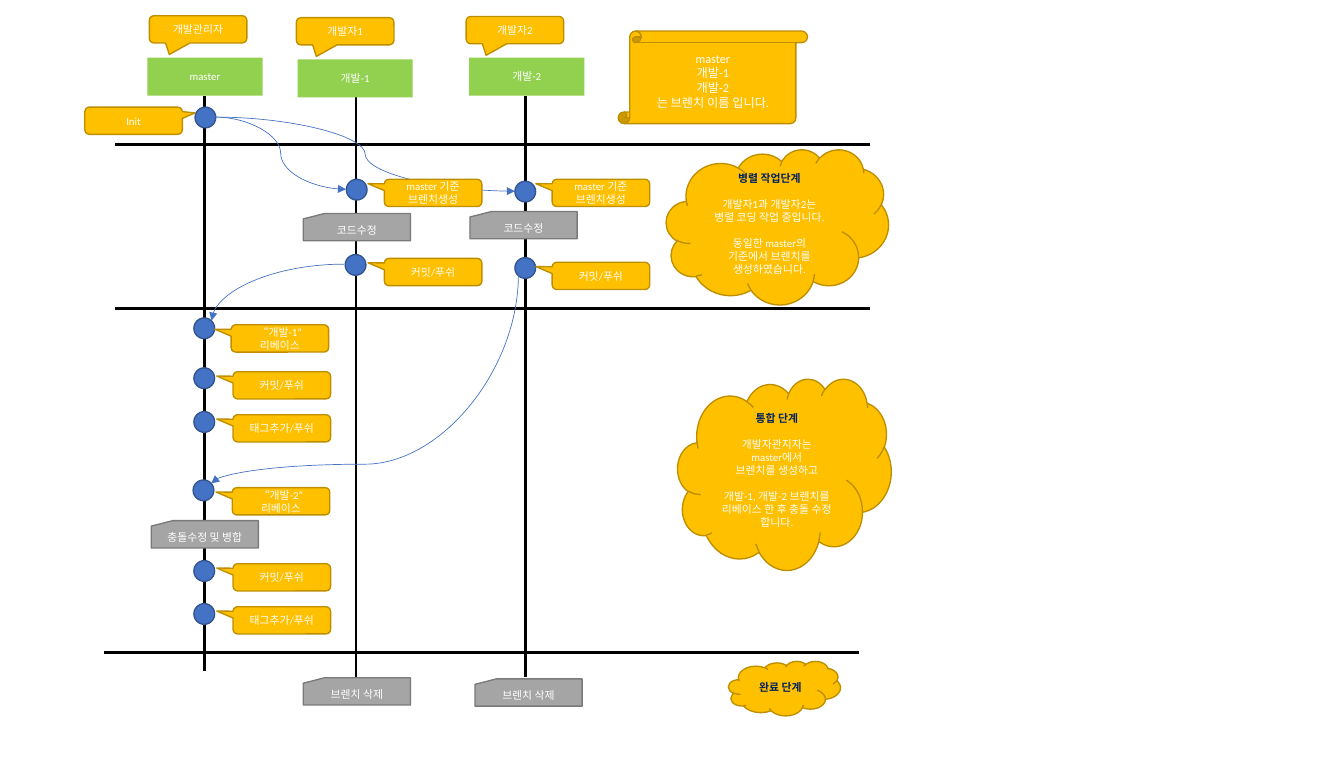
"""Build the slide showing a branch workflow for a manager and two developers."""
import pptx
import pptx.dml.color
import pptx.enum.dml
import pptx.enum.shapes
import pptx.enum.text
import pptx.oxml
import pptx.oxml.ns
import pptx.util

Cm, Pt = pptx.util.Cm, pptx.util.Pt
RGBColor = pptx.dml.color.RGBColor
SHAPE = pptx.enum.shapes.MSO_SHAPE
CONNECTOR = pptx.enum.shapes.MSO_CONNECTOR
qn = pptx.oxml.ns.qn

WHITE = RGBColor(0xFF, 0xFF, 0xFF)
BLACK = RGBColor(0x00, 0x00, 0x00)
NAVY = RGBColor(0x00, 0x20, 0x60)
GREEN = RGBColor(0x92, 0xD0, 0x50)
BLUE = RGBColor(0x44, 0x72, 0xC4)
DARK_BLUE = RGBColor(0x32, 0x54, 0x91)
GREY = RGBColor(0xA5, 0xA5, 0xA5)
DARK_GREY = RGBColor(0x7A, 0x7A, 0x7A)
GOLD = RGBColor(0xFF, 0xC0, 0x00)
DARK_GOLD = RGBColor(0xBD, 0x8E, 0x00)

prs = pptx.Presentation()
prs.slide_width, prs.slide_height = Cm(35), Cm(20)
s = prs.slides.add_slide(prs.slide_layouts[6])


def add_box(kind, x, y, w, h, fill, line=None, text="", size=8):
    sp = s.shapes.add_shape(kind, Cm(x), Cm(y), Cm(w), Cm(h))
    sp.shadow.inherit = False
    sp.fill.solid()
    sp.fill.fore_color.rgb = fill
    if line is None:
        sp.line.fill.background()
    else:
        sp.line.color.rgb = line
        sp.line.width = Pt(1)
    if text:
        tf = sp.text_frame
        tf.word_wrap = True
        tf.vertical_anchor = pptx.enum.text.MSO_ANCHOR.MIDDLE
        tf.text = text
        for p in tf.paragraphs:
            p.alignment = pptx.enum.text.PP_ALIGN.CENTER
            for r in p.runs:
                r.font.name = "Calibri"
                r.font.size = Pt(size)
                r.font.color.rgb = WHITE
    return sp


def add_line(kind, x1, y1, x2, y2, color, width):
    c = s.shapes.add_connector(kind, Cm(x1), Cm(y1), Cm(x2), Cm(y2))
    c.line.color.rgb = color
    c.line.width = Pt(width)
    c.element.spPr.append(pptx.oxml.parse_xml(
        f'<a:effectLst {pptx.oxml.ns.nsdecls("a")}/>'))
    return c


lifelines = [(5.33, 17.48), (9.27, 17.63), (13.69, 17.63)]
for x, bottom in lifelines:
    add_line(CONNECTOR.STRAIGHT, x, 2.49, x, bottom, BLACK, 2)

stage_lines = [(3, 3.76), (3, 8.03), (2.72, 16.99)]
for x, y in stage_lines:
    add_line(CONNECTOR.STRAIGHT, x + 19.66, y, x, y, BLACK, 2)

commits = [
    (5.08, 2.79), (9.02, 4.67), (13.41, 4.72), (8.99, 6.63), (13.41, 6.71),
    (5.05, 8.28), (5.05, 9.58), (5.05, 10.72), (5.03, 12.5), (5.05, 14.6),
    (5.05, 15.72),
]
for x, y in commits:
    add_box(SHAPE.OVAL, x, y, 0.54, 0.54, BLUE, DARK_BLUE)

curves = [
    (5.61, 3.05, 3.4, 1.88, 0, False, "curvedConnector3", 50000),
    (5.61, 3.05, 7.8, 1.93, 0, False, "curvedConnector3", 50000),
    (6.78, 5.87, 5.44, 8, 90, False, "curvedConnector3", 90800),
    (5.51, 6.88, 3.45, 1.47, 180, True, "curvedConnector2", None),
]
for x, y, w, h, angle, flip, preset, bend in curves:
    c = add_line(CONNECTOR.CURVE, x, y, x + w, y + h, BLUE, 0.5)
    xfrm = c.element.spPr.find(qn("a:xfrm"))
    if angle:
        xfrm.set("rot", str(angle * 60000))
    if flip:
        xfrm.set("flipV", "1")
    geom = c.element.spPr.find(qn("a:prstGeom"))
    geom.set("prst", preset)
    if bend:
        gd = geom.find(qn("a:avLst")).makeelement(
            qn("a:gd"), {"name": "adj1", "fmla": f"val {bend}"})
        geom.find(qn("a:avLst")).append(gd)
    c.line._get_or_add_ln().append(pptx.oxml.parse_xml(
        f'<a:tailEnd {pptx.oxml.ns.nsdecls("a")} type="triangle"/>'))

branches = [(3.84, 1.5, "master"), (7.75, 1.55, "개발-1"), (12.22, 1.5, "개발-2")]
for x, y, text in branches:
    add_box(SHAPE.RECTANGLE, x, y, 3, 0.99, GREEN, None, text)

tasks = [
    (7.9, 5.56, "코드수정"), (12.24, 5.51, "코드수정"),
    (3.94, 13.56, "충돌수정 및 병합"),
    (7.9, 17.65, "브렌치 삭제"), (12.37, 17.68, "브렌치 삭제"),
]
for x, y, text in tasks:
    add_box(SHAPE.FLOWCHART_CARD, x, y, 2.79, 0.71, GREY, DARK_GREY, text)

DOWN, LEFT, RIGHT = (-0.295, 0.925), (-0.668, -0.34), (0.631, -0.287)
callouts = [
    (3.89, 0.41, DOWN, "개발관리자"),
    (7.72, 0.46, DOWN, "개발자1"),
    (12.14, 0.43, DOWN, "개발자2"),
    (2.21, 2.79, RIGHT, "Init"),
    (10.01, 4.67, LEFT, "master 기준\n브렌치생성"),
    (14.38, 4.67, LEFT, "master 기준\n브렌치생성"),
    (10.01, 6.73, LEFT, "커밋/푸쉬"),
    (14.38, 6.83, LEFT, "커밋/푸쉬"),
    (6.02, 8.46, LEFT, "“개발-1”\n리베이스"),
    (6.07, 9.68, LEFT, "커밋/푸쉬"),
    (6.07, 10.8, LEFT, "태그추가/푸쉬"),
    (6.05, 12.7, LEFT, "“개발-2”\n리베이스"),
    (6.07, 14.68, LEFT, "커밋/푸쉬"),
    (6.07, 15.8, LEFT, "태그추가/푸쉬"),
]
for x, y, pointer, text in callouts:
    sp = add_box(SHAPE.ROUNDED_RECTANGULAR_CALLOUT, x, y, 2.54, 0.71,
                 GOLD, DARK_GOLD, text)
    sp.adjustments[0], sp.adjustments[1] = pointer

add_box(SHAPE.VERTICAL_SCROLL, 16.1, 0.81, 4.93, 2.41, GOLD, DARK_GOLD,
        "master\n개발-1\n개발-2\n는 브렌치 이름 입니다.", 9)

stages = [
    (17.35, 3.89, 5.79, 4.04, [
        "병렬 작업단계",
        "개발자1과 개발자2는\n병렬 코딩 작업 중입니다.",
        "동일한 master의\n기준에서 브렌치를 생성하였습니다."]),
    (17.65, 9.86, 5.56, 4.98, [
        "통합 단계",
        "개발자관지자는\nmaster에서\n브렌치를 생성하고",
        "개발-1, 개발-2 브렌치를 리베이스 한 후 충돌 수정 합니다."]),
    (18.97, 17.22, 2.92, 1.42, ["완료 단계"]),
]
for x, y, w, h, blocks in stages:
    sp = add_box(SHAPE.CLOUD, x, y, w, h, GOLD, DARK_GOLD, "\n".join(blocks))
    paragraphs = sp.text_frame.paragraphs
    title = paragraphs[0].runs[0]
    title.font.bold = True
    title.font.color.rgb = NAVY
    first = 1
    for block in blocks[1:]:
        paragraphs[first].space_before = Pt(9.6)
        first += len(block.split("\n"))

prs.save("out.pptx")
